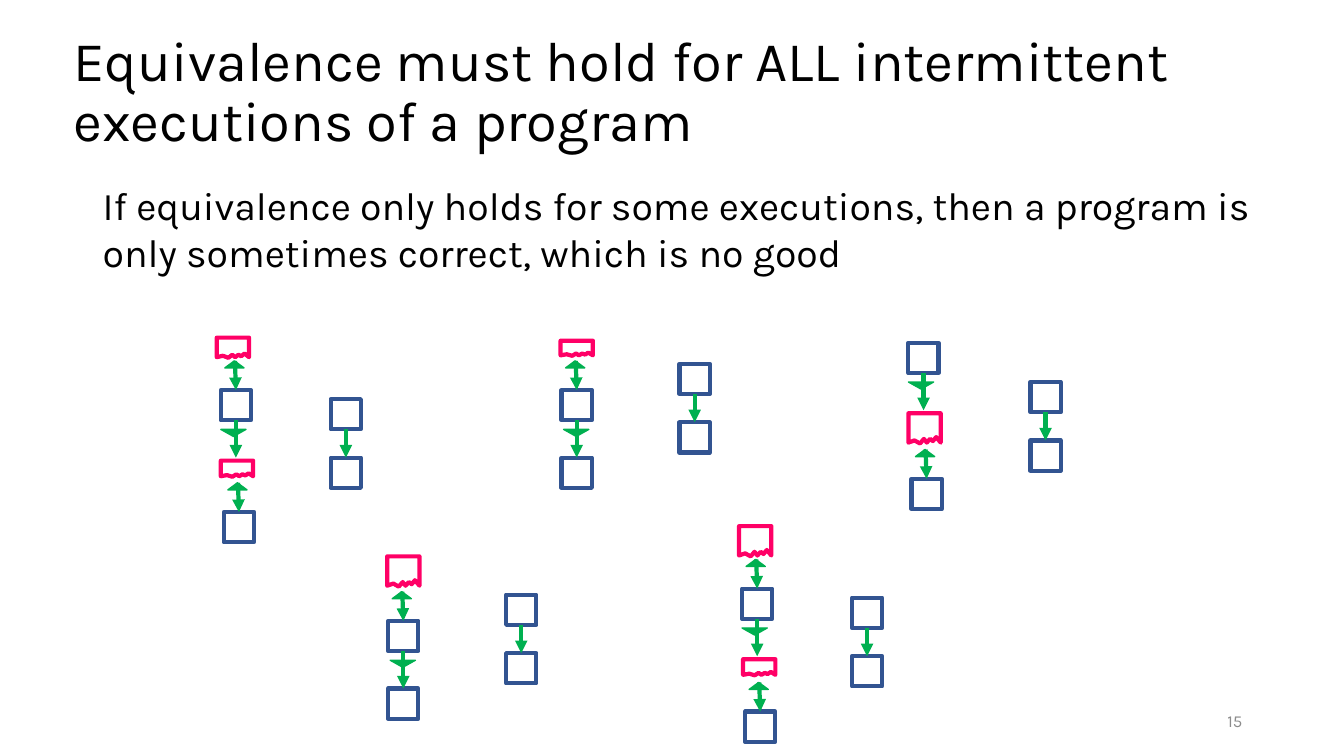
import pptx
import pptx.util
import pptx.dml.color
import pptx.enum.shapes
import pptx.enum.text
import pptx.oxml
import pptx.oxml.ns
from pptx.util import Inches

RGBColor = pptx.dml.color.RGBColor
BLACK = RGBColor(0x00, 0x00, 0x00)
GREY = RGBColor(0x8C, 0x8C, 0x8C)
WHITE = RGBColor(0xFF, 0xFF, 0xFF)
BLUE = RGBColor(0x32, 0x54, 0x91)
PINK = RGBColor(0xFF, 0x00, 0x66)
GREEN = RGBColor(0x00, 0xB0, 0x50)

KIND = pptx.enum.shapes.MSO_SHAPE
ANCHOR = pptx.enum.text.MSO_ANCHOR
ALIGN = pptx.enum.text.PP_ALIGN

SIDE = 0.3
TORN = 0.32
EDGE = [(0, 0), (1, 0), (1, 0.97), (0.86, 0.79), (0.76, 0.92), (0.67, 0.85),
        (0.57, 0.97), (0.48, 0.85), (0.36, 1), (0.19, 0.9)]

# Each step is (left, top) for a box or (left, top, height) for a torn box.
CHAINS = [
    [(2.15, 3.35, 0.2), (2.19, 3.87), (2.19, 4.57, 0.16), (2.22, 5.08)],
    [(5.56, 3.38, 0.15), (5.57, 3.87), (5.57, 4.54)],
    [(9.01, 3.4), (9.01, 4.1, 0.3), (9.04, 4.75)],
    [(3.84, 5.52, 0.3), (3.85, 6.16), (3.85, 6.83)],
    [(7.33, 5.22, 0.3), (7.36, 5.84), (7.37, 6.54, 0.16), (7.39, 7.06)],
]
PAIRS = [(3.28, 3.96), (6.74, 3.61), (10.22, 3.79), (5.02, 5.9), (8.45, 5.93)]
PAIR_STEP = 0.58


def add_text(slide, text, at, size, color=BLACK, anchor=ANCHOR.TOP,
             align=ALIGN.LEFT, space=1.0):
    """Add a wrapped text box."""
    frame = slide.shapes.add_textbox(*map(Inches, at)).text_frame
    frame.word_wrap = True
    frame.vertical_anchor = anchor
    para = frame.paragraphs[0]
    para.text = text
    para.alignment = align
    para.line_spacing = space
    para.font.name = "Karla"
    para.font.size = pptx.util.Pt(size)
    para.font.color.rgb = color


def paint(shape, fill, line, width):
    """Set fill and outline, without a shadow."""
    shape.shadow.inherit = False
    shape.fill.solid()
    shape.fill.fore_color.rgb = fill
    shape.line.color.rgb = line
    shape.line.width = pptx.util.Pt(width)


def add_box(slide, left, top):
    """Add a blue square."""
    box = slide.shapes.add_shape(KIND.RECTANGLE, Inches(left), Inches(top),
                                 Inches(SIDE), Inches(SIDE))
    paint(box, WHITE, BLUE, 3)
    return box


def add_torn(slide, left, top, height):
    """Add a pink box with a ragged lower edge."""
    dots = [(Inches(left + TORN * x), Inches(top + height * y))
            for x, y in EDGE + [(0, 0.97)]]
    form = slide.shapes.build_freeform(*dots[0])
    form.add_line_segments(dots[1:], close=True)
    paint(form.convert_to_shape(), WHITE, PINK, 3)


def add_arrow(slide, start, end, upper=None, lower=None):
    """Add a green arrow, joined to the boxes given."""
    line = slide.shapes.add_connector(
        pptx.enum.shapes.MSO_CONNECTOR.STRAIGHT, *map(Inches, start + end))
    line.line.color.rgb = GREEN
    line.line.width = pptx.util.Pt(3)
    tail = pptx.oxml.parse_xml(
        '<a:tailEnd %s type="triangle"/>' % pptx.oxml.ns.nsdecls("a"))
    line.line._get_or_add_ln().append(tail)
    line._element.spPr.append(pptx.oxml.parse_xml(
        "<a:effectLst %s/>" % pptx.oxml.ns.nsdecls("a")))
    if upper is not None:
        line.begin_connect(upper, 2)
    if lower is not None:
        line.end_connect(lower, 0)


def add_cap(slide, left, top, width, turn=0):
    """Add a small green triangle."""
    cap = slide.shapes.add_shape(KIND.ISOSCELES_TRIANGLE, Inches(left),
                                 Inches(top), Inches(width), Inches(0.07))
    cap.rotation = turn
    paint(cap, GREEN, GREEN, 1)


def add_fall(slide, step, upper, lower):
    """Add the arrow that leaves a box, with its cap pointing down."""
    mid, base = step[0] + SIDE / 2, step[1] + SIDE
    add_arrow(slide, (mid, base), (mid, base + 0.37), upper, lower)
    shift = 0 if lower is None else 0.02
    add_cap(slide, step[0] + shift, base + 0.09, 0.25, 180)


def add_rise(slide, step, lower):
    """Add the arrow from a torn box to a box, with its cap pointing up."""
    mid, top = step[0] + SIDE / 2, step[1]
    add_arrow(slide, (mid - 0.01, top - 0.29), (mid, top), lower=lower)
    add_cap(slide, mid - 0.11, top - 0.29, 0.19)


def add_chain(slide, steps):
    """Add a column of boxes and torn boxes with their arrows."""
    shapes = [add_torn(slide, *step) if len(step) == 3
              else add_box(slide, *step) for step in steps]
    for i in range(len(steps) - 1):
        if shapes[i] is None:
            add_rise(slide, steps[i + 1], shapes[i + 1])
        else:
            add_fall(slide, steps[i], shapes[i], shapes[i + 1])


def add_pair(slide, left, top):
    """Add two boxes joined by an arrow."""
    upper = add_box(slide, left, top)
    lower = add_box(slide, left, top + PAIR_STEP)
    mid = left + SIDE / 2
    add_arrow(slide, (mid, top + SIDE), (mid, top + PAIR_STEP), upper, lower)


def main():
    """Build the slide and save it."""
    deck = pptx.Presentation()
    deck.slide_width, deck.slide_height = Inches(13.33), Inches(7.5)
    slide = deck.slides.add_slide(deck.slide_layouts[6])
    add_text(slide, "Equivalence must hold for ALL intermittent executions "
             "of a program", (0.63, 0.2, 12.71, 1.45), 40,
             anchor=ANCHOR.MIDDLE, space=0.9)
    add_text(slide, "15", (9.42, 6.95, 3, 0.4), 12, color=GREY,
             anchor=ANCHOR.MIDDLE, align=ALIGN.RIGHT)
    for steps in CHAINS:
        add_chain(slide, steps)
    for left, top in PAIRS:
        add_pair(slide, left, top)
    add_text(slide, "If equivalence only holds for some executions, then a "
             "program is only sometimes correct, which is no good",
             (0.92, 1.75, 11.94, 1.04), 28)
    deck.save("out.pptx")


if __name__ == "__main__":
    main()
